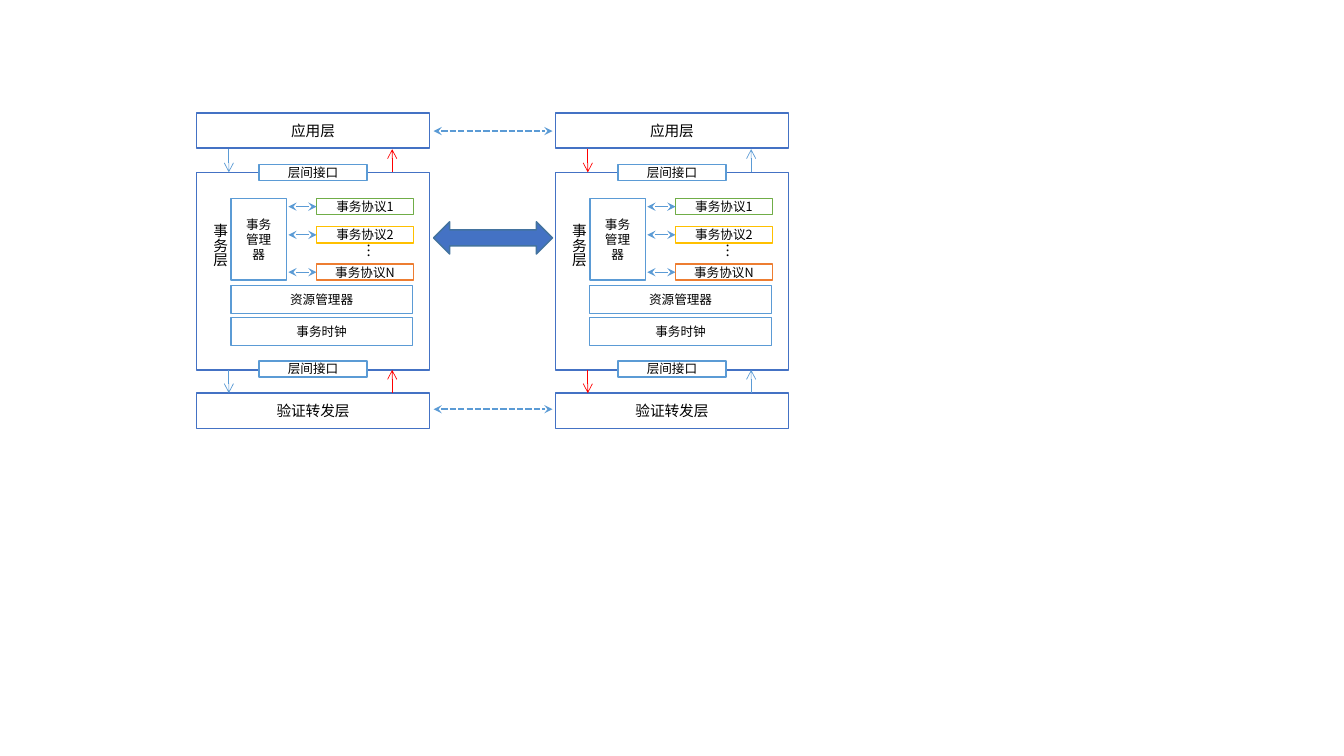
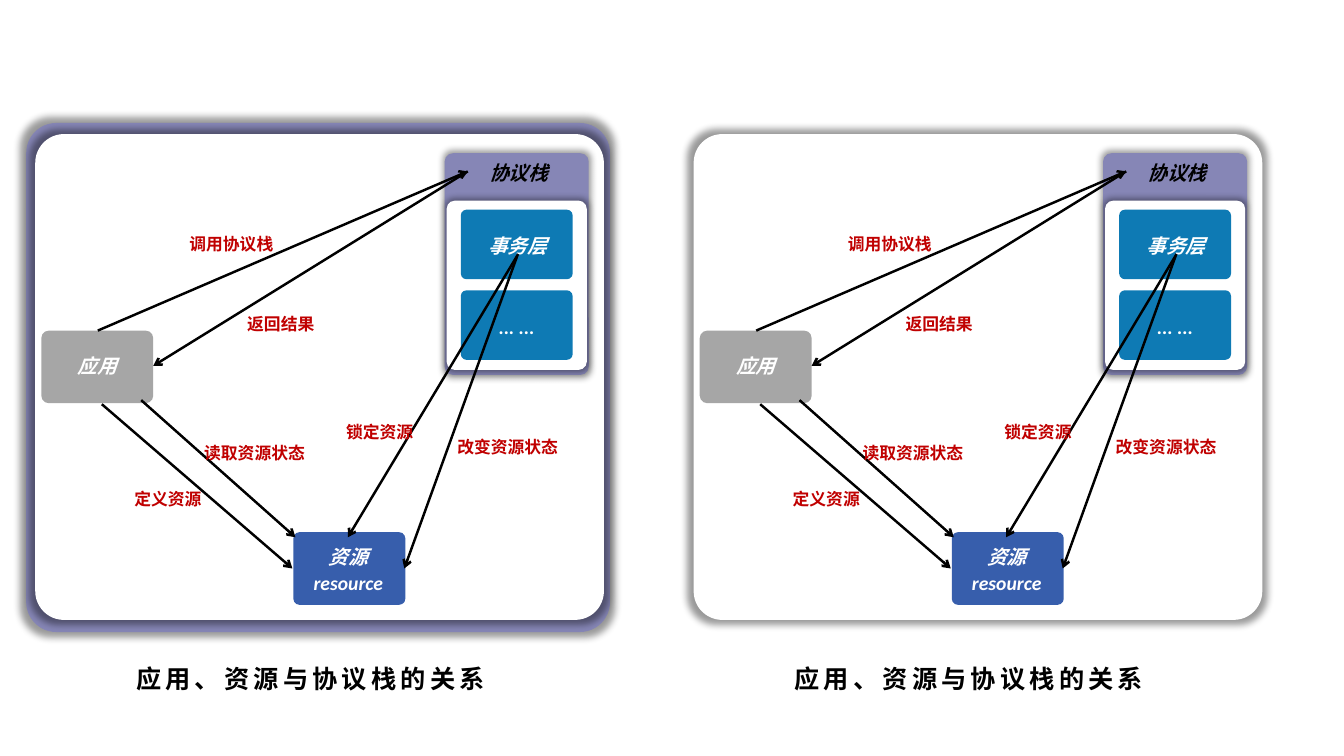
import lxml.etree
import pptx
import pptx.dml.color
import pptx.enum.dml
import pptx.enum.shapes
import pptx.enum.text
import pptx.oxml.ns
import pptx.util

SCALE = 9144  # EMU in one px, 100 px to the inch
CJK, LATIN = "Noto Sans CJK SC", "Calibri"
BLUE, SKY, RED, DARK_RED = "4472C4", "5B9BD5", "FF0000", "C00000"
BLACK, WHITE, PURPLE, TEAL = "000000", "FFFFFF", "8686B6", "0E7AB4"
SHAPES = pptx.enum.shapes.MSO_SHAPE
color = pptx.dml.color.RGBColor.from_string
qn = pptx.oxml.ns.qn


def add_box(page, area, text="", shape=None, fill=WHITE, line=None, radius=None,
            glow=False, font=CJK, size=9, ink=BLACK, bold=False, italic=False,
            spacing=None, tracking=None):
    """Add a text box, or a preset shape with its text in the middle."""
    area = [value * SCALE for value in area]
    if shape is None:
        box = page.shapes.add_textbox(*area)
    else:
        box = page.shapes.add_shape(shape, *area)
        box.shadow.inherit = False
        box.fill.solid()
        box.fill.fore_color.rgb = color(fill)
        if line:
            box.line.color.rgb = color(line)
            box.line.width = pptx.util.Pt(1)
        else:
            box.line.fill.background()
        if radius:
            box.adjustments[0] = radius
        if glow:
            effects = box._element.spPr.find(qn("a:effectLst"))
            shadow = lxml.etree.SubElement(
                effects, qn("a:outerShdw"), blurRad="63500", sx="102000",
                sy="102000", algn="ctr", rotWithShape="0")
            tint = lxml.etree.SubElement(shadow, qn("a:srgbClr"), val=BLACK)
            lxml.etree.SubElement(tint, qn("a:alpha"), val="40000")
        box.text_frame.margin_top = box.text_frame.margin_bottom = 0
        box.text_frame.vertical_anchor = pptx.enum.text.MSO_ANCHOR.MIDDLE
    if text:
        box.text_frame.word_wrap = True
        box.text_frame.text = text
        for para in box.text_frame.paragraphs:
            para.alignment = pptx.enum.text.PP_ALIGN.CENTER
            para.line_spacing = spacing
            para.font.name = font
            para.font.size = pptx.util.Pt(size)
            para.font.bold, para.font.italic = bold, italic
            para.font.color.rgb = color(ink)
            defaults = para._p.pPr.find(qn("a:defRPr"))
            lxml.etree.SubElement(defaults, qn("a:ea"), typeface=CJK)
            if tracking:
                defaults.set("spc", str(tracking * 100))
    return box


def add_arrow(page, points, ink, width, head=None, tail=None, dash=None):
    """Add a straight arrow; head sits at its start and tail at its end."""
    arrow = page.shapes.add_connector(
        pptx.enum.shapes.MSO_CONNECTOR.STRAIGHT, *[value * SCALE for value in points])
    arrow.line.color.rgb = color(ink)
    arrow.line.width = pptx.util.Pt(width)
    if dash:
        arrow.line.dash_style = dash
    for tag, kind in (("a:headEnd", head), ("a:tailEnd", tail)):
        if kind:
            lxml.etree.SubElement(arrow.line._ln, qn(tag), type=kind)
    lxml.etree.SubElement(arrow._element.spPr, qn("a:effectLst"))


deck = pptx.Presentation()
deck.slide_width, deck.slide_height = 1333 * SCALE, 750 * SCALE
blank = deck.slide_layouts[6]

# Slide 1: two protocol stacks side by side
page = deck.slides.add_slide(blank)
for x, down_ink, up_ink in ((195, SKY, RED), (551, RED, SKY)):
    # Layers, interfaces and managers
    for top, height, text in ((112, 35, "应用层"), (171, 196, ""), (390, 35, "验证转发层")):
        add_box(page, (x, top, 231, height), text, SHAPES.RECTANGLE, line=BLUE, size=10.5)
    for left, top, width, height, text in (
            (62, 163, 107, 16, "层间接口"),
            (62, 358, 107, 16, "层间接口"),
            (34, 197, 55, 81, "事务\n管理器"),
            (34, 283, 180, 28, "资源管理器"),
            (34, 315, 180, 28, "事务时钟")):
        add_box(page, (x + left, top, width, height), text, SHAPES.RECTANGLE, line=SKY)

    # Protocols, each linked with the transaction manager
    for top, name, ink in ((197, "1", "70AD47"), (225, "2", "FFC000"), (262, "N", "ED7D31")):
        add_box(page, (x + 119, top, 96, 16), "事务协议" + name, SHAPES.RECTANGLE, line=ink)
        add_arrow(page, (x + 91, top + 8, x + 119, top + 8), SKY, 0.5, "stealth", "stealth")

    # Vertical texts
    for left, top, height, margin, text in ((-1, 212, 81, 5, "事务层"), (147, 242, 15, 0, "…")):
        label = add_box(page, (x + left, top, 38, height), text, size=10.5)
        label.text_frame.margin_top = label.text_frame.margin_bottom = margin * SCALE
        label.text_frame.paragraphs[0].alignment = pptx.enum.text.PP_ALIGN.LEFT
        label.text_frame._txBody.bodyPr.set("vert", "eaVert")

    # Calls between the layers
    for top in (148, 367):
        add_arrow(page, (x + 32, top, x + 32, top + 23), down_ink, 0.5, tail="arrow")
        add_arrow(page, (x + 194, top, x + 194, top + 23), up_ink, 0.5, head="arrow")

# Links between the stacks
for y in (130, 406):
    add_arrow(page, (430, y, 548, y), SKY, 1.5, "stealth", "stealth",
              pptx.enum.dml.MSO_LINE.SQUARE_DOT)
add_box(page, (430, 220, 118, 32), shape=SHAPES.LEFT_RIGHT_ARROW, fill=BLUE, line="43739E")

# Slide 2: the same relation diagram twice, the first with a purple frame
page = deck.slides.add_slide(blank)
rounded = SHAPES.ROUNDED_RECTANGLE
add_box(page, (26, 122, 579, 505), shape=rounded, fill=PURPLE, radius=0.059, glow=True)
for x in (0, 653):
    # Frame and protocol stack panels
    for left, top, width, height, fill in (
            (35, 133, 564, 482, WHITE),
            (441, 152, 143, 220, PURPLE),
            (443, 199, 139, 168, WHITE)):
        add_box(page, (x + left, top, width, height), shape=rounded, fill=fill,
                radius=0.059, glow=True)

    # Blocks
    for left, top, height, fill, radius in (
            (291, 528, 72, "375EAC", 0.083),
            (41, 328, 72, "A6A6A6", 0.103),
            (457, 208, 69, TEAL, 0.083),
            (457, 288, 69, TEAL, 0.083)):
        add_box(page, (x + left, top, 111, height), shape=rounded, fill=fill, radius=radius)

    # Block names
    for left, top, height, text, ink, spacing in (
            (290, 533, 62, "资源\nresource", WHITE, 1.1),
            (41, 346, 34, "应用", WHITE, None),
            (459, 152, 36, "协议栈", BLACK, 1.1),
            (458, 227, 34, "事务层", WHITE, None),
            (457, 308, 34, "... ...", WHITE, None)):
        add_box(page, (x + left, top, 111, height), text, font=LATIN, size=14,
                ink=ink, bold=True, italic=True, spacing=spacing)

    # Arrows
    for x1, y1, x2, y2 in (
            (101, 401, 290, 564), (97, 328, 464, 170), (464, 170, 152, 363),
            (514, 252, 345, 533), (513, 254, 401, 564), (140, 397, 293, 533)):
        add_arrow(page, (x + x1, y1, x + x2, y2), BLACK, 1.75, tail="arrow")

    # Arrow labels
    for left, top, text in (
            (97, 480, "定义资源"), (160, 227, "调用协议栈"), (209, 306, "返回结果"),
            (307, 413, "锁定资源"), (434, 428, "改变资源状态"), (183, 434, "读取资源状态")):
        add_box(page, (x + left, top, 139, 30), text, font=LATIN, size=12,
                ink=DARK_RED, bold=True)

    # Caption
    add_box(page, (x + 107, 653, 402, 40), "应用、资源与协议栈的关系", size=18,
            bold=True, tracking=3)

deck.save("out.pptx")
